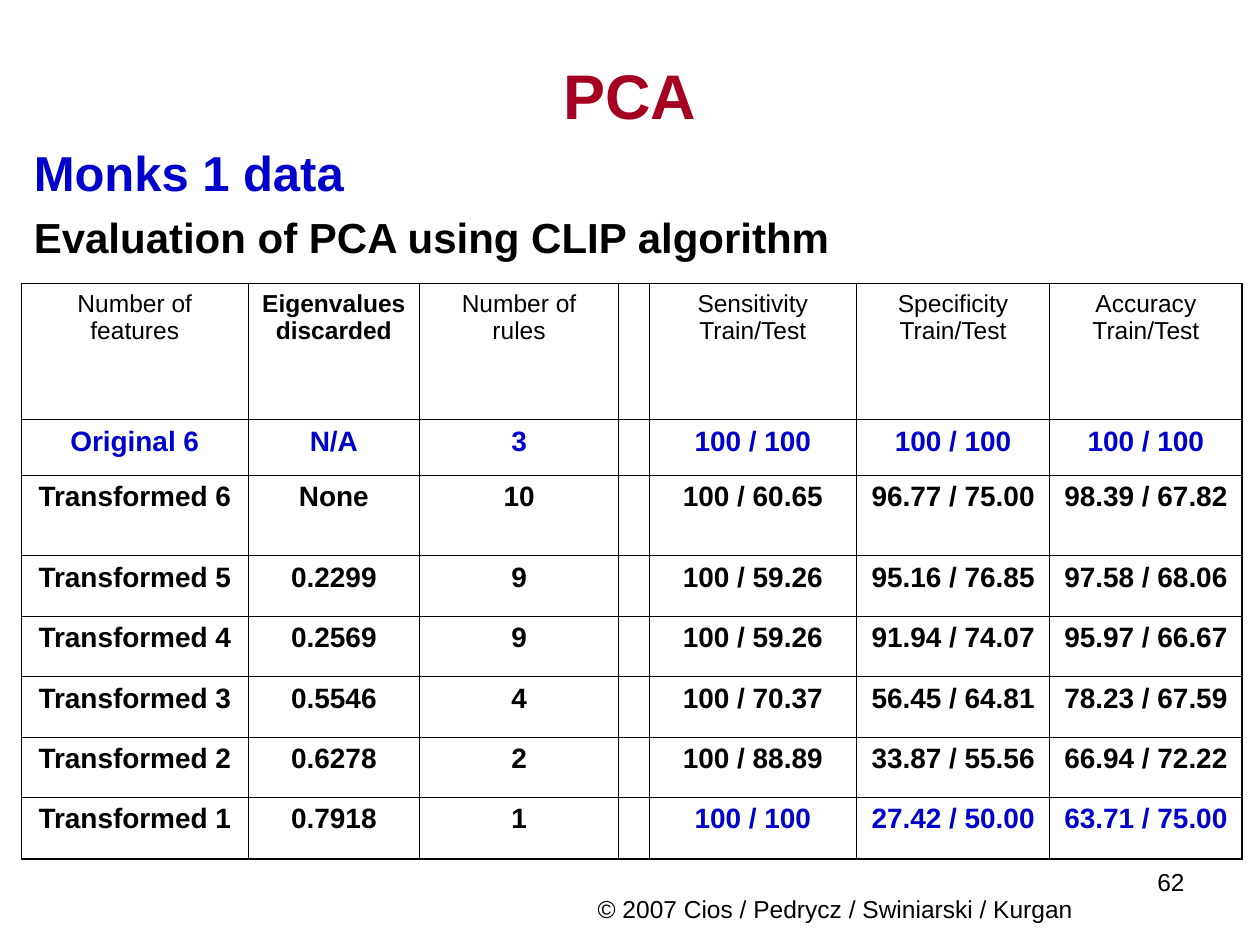
from lxml import etree
from pptx import Presentation
from pptx.dml.color import RGBColor
from pptx.enum import text
from pptx.oxml import ns
from pptx.util import Inches, Pt

BLACK = RGBColor(0x00, 0x00, 0x00)
BLUE = RGBColor(0x00, 0x00, 0xCC)
RED = RGBColor(0xA5, 0x00, 0x21)
FONT = "Arial"
CENTER, LEFT, RIGHT = text.PP_ALIGN.CENTER, text.PP_ALIGN.LEFT, text.PP_ALIGN.RIGHT
THIN, THICK = 0.45, 1.08

COLUMN_WIDTHS = [1.8, 1.36, 1.58, 0.24, 1.65, 1.53, 1.53]
ROW_HEIGHTS = [1.08, 0.44, 0.64, 0.48, 0.48, 0.48, 0.48, 0.49]
RESULTS = [
    ["Number of features", "Eigenvalues discarded", "Number of rules", "",
     "Sensitivity Train/Test", "Specificity Train/Test", "Accuracy Train/Test"],
    ["Original 6", "N/A", "3", "", "100 / 100", "100 / 100", "100 / 100"],
    ["Transformed 6", "None", "10", "", "100 / 60.65", "96.77 / 75.00", "98.39 / 67.82"],
    ["Transformed 5", "0.2299", "9", "", "100 / 59.26", "95.16 / 76.85", "97.58 / 68.06"],
    ["Transformed 4", "0.2569", "9", "", "100 / 59.26", "91.94 / 74.07", "95.97 / 66.67"],
    ["Transformed 3", "0.5546", "4", "", "100 / 70.37", "56.45 / 64.81", "78.23 / 67.59"],
    ["Transformed 2", "0.6278", "2", "", "100 / 88.89", "33.87 / 55.56", "66.94 / 72.22"],
    ["Transformed 1", "0.7918", "1", "", "100 / 100", "27.42 / 50.00", "63.71 / 75.00"],
]


def write(paragraph, words, size, color=BLACK, bold=False, align=CENTER):
    paragraph.alignment = align
    run = paragraph.add_run()
    run.text = words
    font_format = {"name": FONT, "size": Pt(size), "bold": bold}
    for name, value in font_format.items():
        setattr(run.font, name, value)
    run.font.color.rgb = color


def add_text(slide, left, top, width, height, lines, anchor=text.MSO_ANCHOR.TOP):
    """Add a text box; each line is a dict of arguments for write()."""
    shape = slide.shapes.add_textbox(Inches(left), Inches(top), Inches(width), Inches(height))
    frame = shape.text_frame
    frame.word_wrap = True
    frame.vertical_anchor = anchor
    for index, line in enumerate(lines):
        paragraph = frame.add_paragraph() if index else frame.paragraphs[0]
        if index:
            paragraph.space_before = Pt(6)
        write(paragraph, **line)


def set_borders(cell, widths):
    properties = cell._tc.get_or_add_tcPr()
    for side, width in widths.items():
        line = etree.SubElement(properties, ns.qn(f"a:ln{side}"), w=str(Pt(width)))
        fill = etree.SubElement(line, ns.qn("a:solidFill"))
        etree.SubElement(fill, ns.qn("a:srgbClr"), val=str(BLACK))


def cell_format(row, column):
    if row == 0:
        return {"size": 14, "bold": column == 1}
    is_blue = row == 1 or (row == len(RESULTS) - 1 and column > 3)
    return {"size": 16, "bold": True, "color": BLUE if is_blue else BLACK}


def add_results_table(slide, left, top):
    last_row, last_column = len(ROW_HEIGHTS) - 1, len(COLUMN_WIDTHS) - 1
    frame = slide.shapes.add_table(
        last_row + 1, last_column + 1, Inches(left), Inches(top),
        Inches(sum(COLUMN_WIDTHS)), Inches(sum(ROW_HEIGHTS)))
    table = frame.table
    table.first_row = table.horz_banding = False
    for column, width in zip(table.columns, COLUMN_WIDTHS):
        column.width = Inches(width)
    for row, height in zip(table.rows, ROW_HEIGHTS):
        row.height = Inches(height)
    for r, values in enumerate(RESULTS):
        for c, value in enumerate(values):
            cell = table.cell(r, c)
            outer = {"L": c == 0, "R": c == last_column, "T": r == 0, "B": r == last_row}
            set_borders(cell, {side: THICK if edge else THIN for side, edge in outer.items()})
            cell.fill.background()
            if value:
                write(cell.text_frame.paragraphs[0], value, **cell_format(r, c))


def main():
    presentation = Presentation()
    presentation.slide_width, presentation.slide_height = Inches(10), Inches(7.5)
    slide = presentation.slides.add_slide(presentation.slide_layouts[6])

    add_text(slide, 3.42, 7.05, 6.42, 0.33, [
        {"words": "© 2007 Cios / Pedrycz / Swiniarski / Kurgan", "size": 14}])
    add_text(slide, 6.75, 6.83, 2.75, 0.52, [{"words": "62", "size": 14, "align": RIGHT}])
    add_text(slide, 0.75, 0.5, 8.5, 0.5, [
        {"words": "PCA", "size": 36, "color": RED, "bold": True}], text.MSO_ANCHOR.MIDDLE)
    add_text(slide, 0.17, 1.08, 9.83, 1.1, [
        {"words": "Monks 1 data", "size": 28, "color": BLUE, "bold": True, "align": LEFT},
        {"words": "Evaluation of PCA using CLIP algorithm", "size": 24, "bold": True,
         "align": LEFT}])
    add_results_table(slide, 0.17, 2.25)

    presentation.save("out.pptx")


if __name__ == "__main__":
    main()
